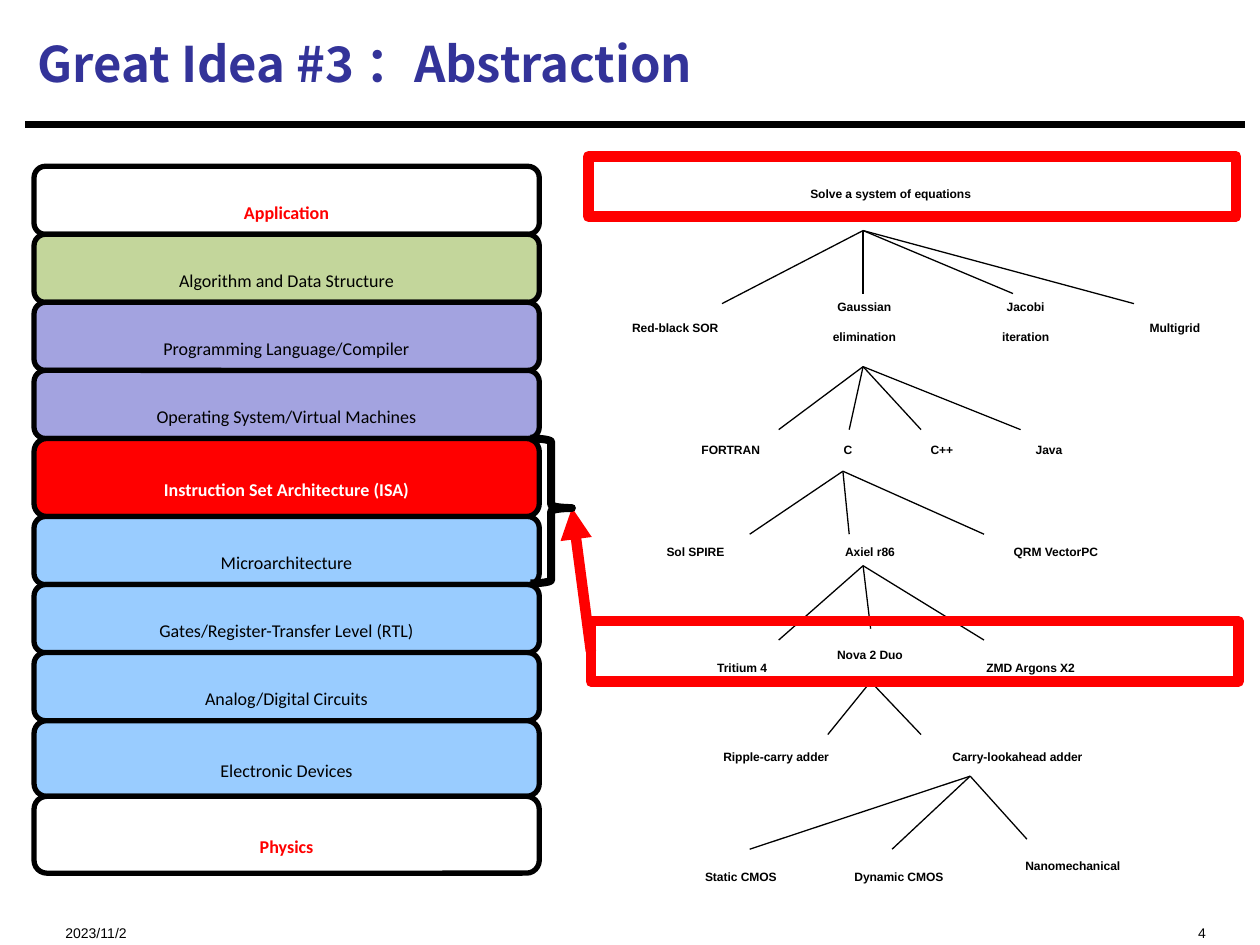
from itertools import accumulate

from lxml.etree import SubElement
from pptx import Presentation
from pptx.dml.color import RGBColor
from pptx.enum.shapes import MSO_CONNECTOR, MSO_SHAPE
from pptx.enum.text import MSO_ANCHOR, PP_ALIGN
from pptx.oxml.ns import qn
from pptx.util import Inches, Pt

COLORS = {
    "black": "000000",
    "white": "FFFFFF",
    "red": "FF0000",
    "title": "333399",
    "green": "C3D69B",
    "violet": "A3A3E0",
    "blue": "99CCFF",
}
COLUMNS, ROWS = 100, 75

LAYERS = [
    ("Application", 5.4, "white", "red", True),
    ("Algorithm and Data Structure", 5.4, "green", "black", False),
    ("Programming Language/Compiler", 5.4, "violet", "black", False),
    ("Operating System/Virtual Machines", 5.4, "violet", "black", False),
    ("Instruction Set Architecture (ISA)", 6.2, "red", "white", True),
    ("Microarchitecture", 5.4, "blue", "black", False),
    ("Gates/Register-Transfer Level (RTL)", 5.4, "blue", "black", False),
    ("Analog/Digital Circuits", 5.4, "blue", "black", False),
    ("Electronic Devices", 6, "blue", "black", False),
    ("Physics", 6.1, "white", "red", True),
]

LABELS = [
    ("Solve a system of equations", 56.2, 13.3, 29),
    ("Gaussian\nelimination", 62.2, 22.4, 12.8),
    ("Jacobi\niteration", 76.3, 22.4, 10.2),
    ("Red-black SOR", 45.3, 23.9, 16.6),
    ("Multigrid", 87.9, 23.9, 10.7),
    ("FORTRAN", 52, 33.6, 12),
    ("C", 65.4, 33.6, 3.8),
    ("C++", 71.7, 33.6, 6.1),
    ("Java", 79.9, 33.6, 6.7),
    ("Axiel r86", 63.9, 41.7, 10.3),
    ("Sol SPIRE", 48.5, 41.7, 13.4),
    ("QRM VectorPC", 76.2, 41.7, 15.2),
    ("Tritium 4", 53, 50.9, 11.8),
    ("Nova 2 Duo", 62.6, 49.9, 12.9),
    ("ZMD Argons X2", 73.5, 50.9, 16.6),
    ("Ripple-carry adder", 51.7, 58, 19.8),
    ("Carry-lookahead adder", 68.8, 58, 23.9),
    ("Static CMOS", 51.7, 67.5, 14.2),
    ("Dynamic CMOS", 62.8, 67.5, 17.1),
    ("Nanomechanical", 76.1, 66.6, 18.1),
]

BRANCHES = {
    (68.5, 18.3): [(57.3, 24.1), (68.5, 23.3), (80.4, 23.3), (90, 24.1)],
    (68.5, 29.1): [(61.8, 34.1), (67.4, 34.1), (73.1, 34.1), (81, 34.1)],
    (66.9, 37.4): [(59.5, 42.4), (67.4, 42.4), (78.1, 42.4)],
    (68.5, 44.9): [(61.8, 50.8), (69.1, 49.9), (78.1, 50.8)],
    (69.1, 54.1): [(65.7, 58.3), (73.1, 58.3)],
    (77, 61.6): [(59.5, 67.4), (70.8, 67.4), (81.5, 66.6)],
}


def color(name):
    return RGBColor.from_string(COLORS[name])


def write_text(frame, text, size, font="Arial", ink="black", bold=False,
               align=PP_ALIGN.CENTER, anchor=MSO_ANCHOR.MIDDLE,
               spacing=None, wrap=False):
    frame.word_wrap = wrap
    frame.vertical_anchor = anchor
    for index, line in enumerate(text.split("\n")):
        paragraph = frame.add_paragraph() if index else frame.paragraphs[0]
        paragraph.alignment = align
        if spacing:
            paragraph.line_spacing = Pt(spacing)
        run = paragraph.add_run()
        run.text = line
        run.font.size = Pt(size)
        run.font.name = font
        run.font.bold = bold
        run.font.color.rgb = color(ink)
        SubElement(run.font._element, qn("a:ea"), typeface=font)


class Deck:
    def __init__(self):
        self.presentation = Presentation()
        self.presentation.slide_width = Inches(10)
        self.presentation.slide_height = Inches(7.5)
        self.column = self.presentation.slide_width / COLUMNS
        self.row = self.presentation.slide_height / ROWS
        self.slide = self.presentation.slides.add_slide(
            self.presentation.slide_layouts[5])

    def place(self, left, top, width, height):
        return (round(left * self.column), round(top * self.row),
                round(width * self.column), round(height * self.row))

    def title(self, text, *box):
        shape = self.slide.shapes.title
        shape.left, shape.top, shape.width, shape.height = self.place(*box)
        write_text(shape.text_frame, text, 28, font="Noto Sans CJK SC",
                   ink="title", bold=True, align=PP_ALIGN.LEFT, wrap=True)

    def text(self, text, *box, **style):
        shape = self.slide.shapes.add_textbox(*self.place(*box))
        frame = shape.text_frame
        frame.margin_top = frame.margin_bottom = 0
        write_text(frame, text, **style)

    def shape(self, kind, *box, fill=None, line="black", weight=3):
        shape = self.slide.shapes.add_shape(kind, *self.place(*box))
        shape.shadow.inherit = False
        if fill:
            shape.fill.solid()
            shape.fill.fore_color.rgb = color(fill)
        else:
            shape.fill.background()
        shape.line.color.rgb = color(line)
        shape.line.width = Pt(weight)
        return shape

    def line(self, start, end, ink="black", weight=0.75, arrow=False):
        connector = self.slide.shapes.add_connector(
            MSO_CONNECTOR.STRAIGHT, *self.place(*start, *end))
        connector.line.color.rgb = color(ink)
        connector.line.width = Pt(weight)
        properties = connector._element.spPr
        if arrow:
            SubElement(properties.find(qn("a:ln")), qn("a:tailEnd"),
                       type="triangle")
        SubElement(properties, qn("a:effectLst"))
        return connector

    def layer_stack(self, left, top, width):
        tops = accumulate((layer[1] for layer in LAYERS), initial=top)
        for (text, height, fill, ink, bold), layer_top in zip(LAYERS, tops):
            shape = self.shape(MSO_SHAPE.ROUNDED_RECTANGLE, left, layer_top,
                               width, height, fill=fill)
            shape.text_frame.margin_top = shape.text_frame.margin_bottom = 0
            write_text(shape.text_frame, text, 10.3, font="Calibri", ink=ink,
                       bold=bold, spacing=26)

    def choice_tree(self):
        for text, left, top, width in LABELS:
            height = 5.1 if "\n" in text else 3
            self.text(text, left, top, width, height, size=6.9, bold=True,
                      spacing=16.6)
        for parent, children in BRANCHES.items():
            for child in children:
                self.line(parent, child)


def main():
    deck = Deck()
    deck.title("Great Idea #3 ：Abstraction", 2, 0.8, 96.7, 8.4)
    deck.line((2, 9.9), (98.8, 9.9), weight=3.75)
    footer = {"size": 8, "spacing": 19, "anchor": MSO_ANCHOR.BOTTOM,
              "wrap": True}
    deck.text("2023/11/2", 4.2, 72, 25, 2.7, align=PP_ALIGN.LEFT, **footer)
    deck.text("4", 66.7, 72, 30, 2.7, align=PP_ALIGN.RIGHT, **footer)
    deck.choice_tree()
    deck.shape(MSO_SHAPE.RECTANGLE, 46.7, 12.4, 51.4, 4.8, line="red", weight=6)
    deck.layer_stack(2.7, 13.2, 40.1)
    processors = deck.shape(MSO_SHAPE.RECTANGLE, 46.9, 49.3, 51.4, 4.8,
                            line="red", weight=6)
    arrow = deck.line((46.9, 51.7), (45.4, 40.3), ink="red", weight=6,
                      arrow=True)
    arrow.begin_connect(processors, 1)
    brace = deck.shape(MSO_SHAPE.RIGHT_BRACE, 42.1, 34.8, 3.3, 11.5,
                       weight=4.5)
    brace.adjustments[0] = 0.08
    brace.adjustments[1] = 0.48
    deck.presentation.save("out.pptx")


if __name__ == "__main__":
    main()
